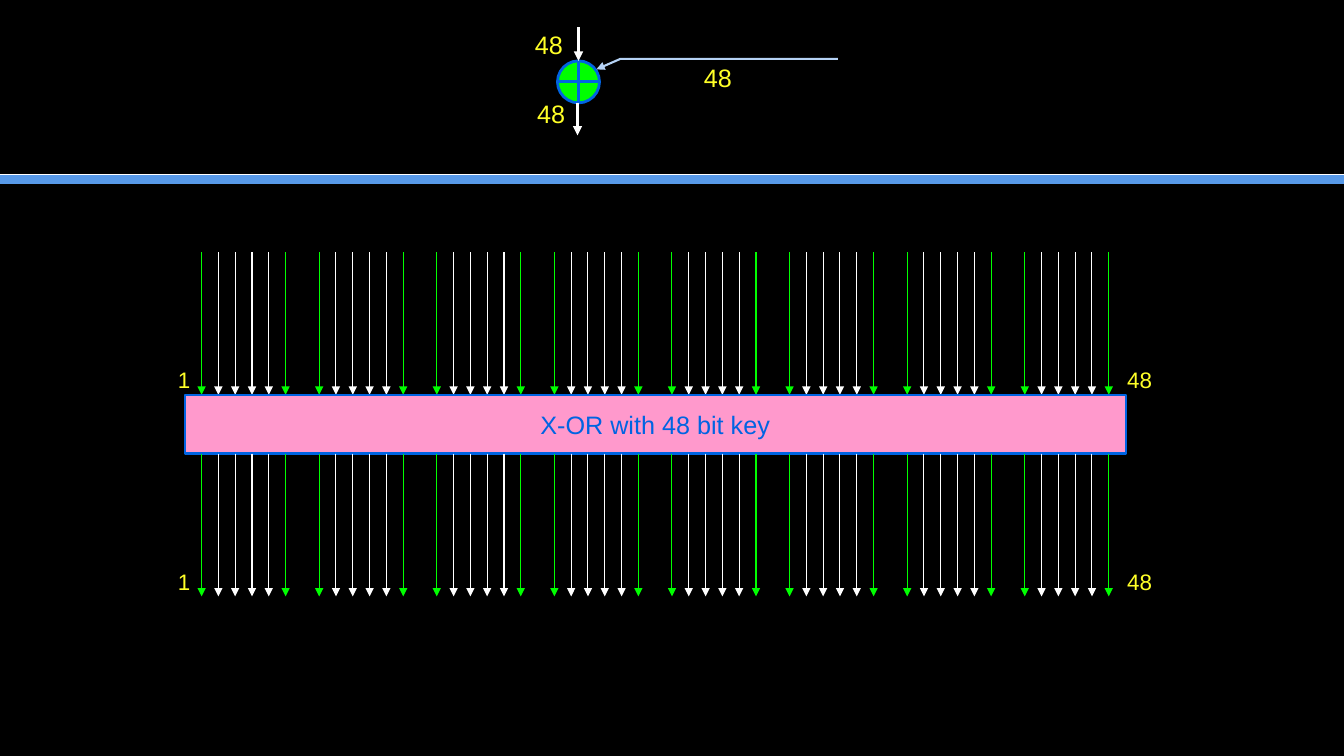
"""Build the slide that shows 48 bits being X-ORed with a 48 bit key."""
from pptx import Presentation
from pptx import util as u
from pptx.dml.color import RGBColor
from pptx.enum import shapes, text
from pptx.oxml import ns
from lxml import etree

PX = 9525
COLORS = {
    "background": "000000", "band": "5799E8", "white": "FFFFFF", "green": "00FF00",
    "label": "FFFF27", "blue": "0064E2", "pink": "FF99CC", "key": "B5D2F5",
}


def color(name):
    return RGBColor.from_string(COLORS[name])


def write(frame, words, size=18, ink="label", align=text.PP_ALIGN.LEFT,
          anchor=text.MSO_ANCHOR.TOP, grow=True):
    frame.word_wrap = False
    frame.vertical_anchor = anchor
    if grow:
        frame.auto_size = text.MSO_AUTO_SIZE.SHAPE_TO_FIT_TEXT
    paragraph = frame.paragraphs[0]
    paragraph.text = words
    paragraph.alignment = align
    font = paragraph.runs[0].font
    font.name, font.size = "Arial", u.Pt(size)
    font.color.rgb = color(ink)


class Canvas:
    def __init__(self, slide):
        self.slide = slide
        slide.background.fill.solid()
        slide.background.fill.fore_color.rgb = color("background")

    def outline(self, item, ink, width, arrow=False):
        item.line.color.rgb = color(ink)
        item.line.width = u.Pt(width)
        if arrow:
            stroke = item.element.spPr.find(ns.qn("a:ln"))
            etree.SubElement(stroke, ns.qn("a:tailEnd"), type="triangle")

    def line(self, x1, y1, x2, y2, ink, width, arrow=True):
        connector = self.slide.shapes.add_connector(
            shapes.MSO_CONNECTOR.STRAIGHT, x1 * PX, y1 * PX, x2 * PX, y2 * PX)
        self.outline(connector, ink, width, arrow)
        etree.SubElement(connector.element.spPr, ns.qn("a:effectLst"))

    def shape(self, kind, x, y, w, h, fill, width):
        shape = self.slide.shapes.add_shape(kind, x * PX, y * PX, w * PX, h * PX)
        shape.shadow.inherit = False
        shape.fill.solid()
        shape.fill.fore_color.rgb = color(fill)
        self.outline(shape, "blue", width)
        return shape

    def bent_arrow(self, start, *points, ink, width):
        builder = self.slide.shapes.build_freeform(*start, scale=PX)
        builder.add_line_segments(points, close=False)
        arrow = builder.convert_to_shape()
        arrow.shadow.inherit = False
        arrow.fill.background()
        self.outline(arrow, ink, width, arrow=True)

    def label(self, words, x, y, w, h, **style):
        box = self.slide.shapes.add_textbox(x * PX, y * PX, w * PX, h * PX)
        write(box.text_frame, words, **style)

    def bit_arrows(self, top, left=192, length=136, step=16, groups=8, bits=6):
        for group in range(groups):
            for bit in range(bits):
                x = left + (group * (bits + 1) + bit) * step
                ink = "green" if bit in (0, bits - 1) else "white"
                self.line(x, top, x, top + length, ink, 0.75)
        self.label("1", 160, top + 104, 32, 35, size=16)
        self.label("48", 1064, top + 104, 43, 35, size=16)


def main():
    deck = Presentation()
    deck.slide_width, deck.slide_height = 1280 * PX, 720 * PX
    canvas = Canvas(deck.slides.add_slide(deck.slide_layouts[6]))

    canvas.line(0, 171, 1280, 171, "band", 7, arrow=False)
    canvas.line(0, 166, 1280, 166, "white", 0.5, arrow=False)

    canvas.bit_arrows(240)
    xor_bar = canvas.shape(shapes.MSO_SHAPE.RECTANGLE, 176, 376, 896, 56, "pink", 1.5)
    write(xor_bar.text_frame, "X-OR with 48 bit key", ink="blue", grow=False,
          align=text.PP_ALIGN.CENTER, anchor=text.MSO_ANCHOR.MIDDLE)
    canvas.bit_arrows(432)

    canvas.shape(shapes.MSO_SHAPE.FLOWCHART_OR, 531, 58, 40, 40, "green", 2)
    canvas.bent_arrow((798, 56), (591, 56), (568, 66), ink="key", width=1.5)
    canvas.line(551, 26, 551, 58, "white", 2.25)
    canvas.line(550, 98, 550, 129, "white", 2.25)
    for x, y in ((500, 23), (661, 55), (502, 89)):
        canvas.label("48", x, y, 46, 38)

    deck.save("out.pptx")


if __name__ == "__main__":
    main()
